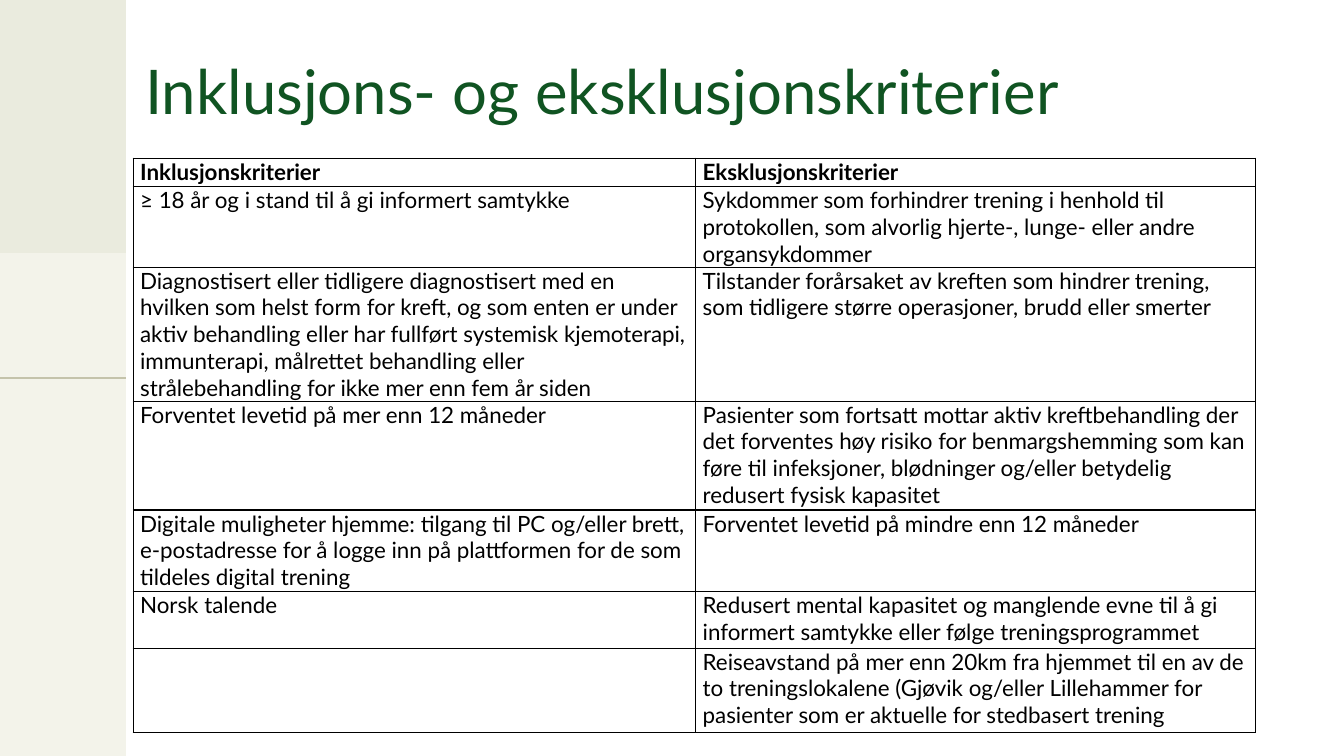
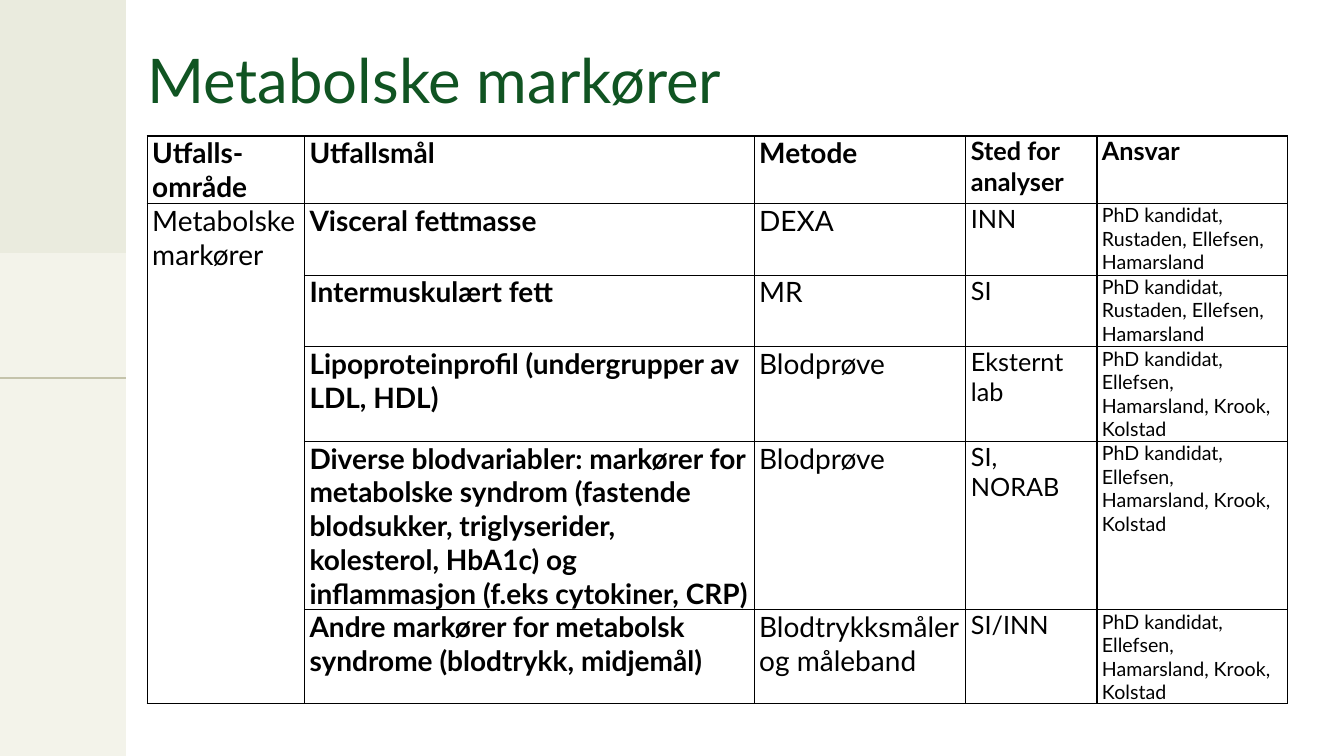
from lxml import etree
from pptx import Presentation
from pptx import util as u
from pptx.dml import color
from pptx.enum import shapes, text
from pptx.oxml import ns

FONT = "Lato"
BLACK = "000000"
TITLE_GREEN = "105422"
BAND_LIGHT = "F3F3EA"
BAND_DARK = "EAEBDE"
BAND_RULE = "C4C3AB"
BAND_WIDTH = 1.25
SLIDE_WIDTH, SLIDE_HEIGHT = 13.33, 7.5

CRITERIA = [
    ("Inklusjonskriterier", "Eksklusjonskriterier"),
    ("≥ 18 år og i stand til å gi informert samtykke",
     "Sykdommer som forhindrer trening i henhold til protokollen, som alvorlig "
     "hjerte-, lunge- eller andre organsykdommer"),
    ("Diagnostisert eller tidligere diagnostisert med en hvilken som helst form "
     "for kreft, og som enten er under aktiv behandling eller har fullført "
     "systemisk kjemoterapi, immunterapi, målrettet behandling eller "
     "strålebehandling for ikke mer enn fem år siden",
     "Tilstander forårsaket av kreften som hindrer trening, som tidligere større "
     "operasjoner, brudd eller smerter"),
    ("Forventet levetid på mer enn 12 måneder",
     "Pasienter som fortsatt mottar aktiv kreftbehandling der det forventes høy "
     "risiko for benmargshemming som kan føre til infeksjoner, blødninger "
     "og/eller betydelig redusert fysisk kapasitet"),
    ("Digitale muligheter hjemme: tilgang til PC og/eller brett, e-postadresse "
     "for å logge inn på plattformen for de som tildeles digital trening",
     "Forventet levetid på mindre enn 12 måneder"),
    ("Norsk talende",
     "Redusert mental kapasitet og manglende evne til å gi informert samtykke "
     "eller følge treningsprogrammet"),
    ("",
     "Reiseavstand på mer enn 20km fra hjemmet til en av de to treningslokalene "
     "(Gjøvik og/eller Lillehammer for pasienter som er aktuelle for stedbasert "
     "trening"),
]

TRAINING_TEAM = "PhD kandidat, Rustaden, Ellefsen, Hamarsland"
BLOOD_TEAM = "PhD kandidat, Ellefsen, Hamarsland, Krook, Kolstad"
MARKERS = [
    ("Utfalls-\nområde", "Utfallsmål", "Metode", "Sted for analyser", "Ansvar"),
    ("Metabolske markører", "Visceral fettmasse", "DEXA", "INN", TRAINING_TEAM),
    ("", "Intermuskulært fett", "MR", "SI", TRAINING_TEAM),
    ("", "Lipoproteinprofil (undergrupper av LDL, HDL)", "Blodprøve",
     "Eksternt lab", BLOOD_TEAM),
    ("", "Diverse blodvariabler: markører for metabolske syndrom (fastende "
     "blodsukker, triglyserider, kolesterol, HbA1c) og inflammasjon "
     "(f.eks cytokiner, CRP)", "Blodprøve", "SI, NORAB", BLOOD_TEAM),
    ("", "Andre markører for metabolsk syndrome (blodtrykk, midjemål)",
     "Blodtrykksmåler og måleband", "SI/INN", BLOOD_TEAM),
]


def rgb(value):
    """Turn a hex string into a colour."""
    return color.RGBColor.from_string(value)


def add_run(paragraph, wording, size, hex_color, bold=False):
    """Add one formatted run to a paragraph."""
    run = paragraph.add_run()
    run.text = wording
    run.font.name = FONT
    run.font.size = u.Pt(size)
    run.font.bold = bold
    run.font.color.rgb = rgb(hex_color)


def add_band(slide, height, fill):
    """Draw a plain block down from the top left corner."""
    band = slide.shapes.add_shape(shapes.MSO_SHAPE.RECTANGLE, 0, 0,
                                  u.Inches(BAND_WIDTH), u.Inches(height))
    band.shadow.inherit = False
    band.fill.solid()
    band.fill.fore_color.rgb = rgb(fill)
    band.line.fill.background()


def add_sidebar(slide):
    """Draw the two-tone side band and the rule across its middle."""
    add_band(slide, SLIDE_HEIGHT, BAND_LIGHT)
    add_band(slide, 2.51, BAND_DARK)
    middle = u.Inches(SLIDE_HEIGHT / 2)
    rule = slide.shapes.add_connector(shapes.MSO_CONNECTOR.STRAIGHT, 0, middle,
                                      u.Inches(BAND_WIDTH), middle)
    rule.line.color.rgb = rgb(BAND_RULE)
    rule.line.width = u.Pt(1)
    etree.SubElement(rule._element.spPr, ns.qn("a:effectLst"))


def add_title(slide, wording, left, top):
    """Write the slide title in its box."""
    box = slide.shapes.add_textbox(u.Inches(left), u.Inches(top),
                                   u.Inches(10.2), u.Inches(1.45))
    frame = box.text_frame
    frame.word_wrap = True
    frame.vertical_anchor = text.MSO_ANCHOR.MIDDLE
    frame.margin_left = frame.margin_right = 0
    frame.margin_top = frame.margin_bottom = 0
    paragraph = frame.paragraphs[0]
    paragraph.line_spacing = 0.8
    add_run(paragraph, wording, 44, TITLE_GREEN)


def add_borders(cell):
    """Give a cell a thin black line on all four sides."""
    properties = cell._tc.get_or_add_tcPr()
    for index, side in enumerate("LRTB"):
        line = etree.Element(ns.qn(f"a:ln{side}"), w=str(u.Pt(1)))
        fill = etree.SubElement(line, ns.qn("a:solidFill"))
        etree.SubElement(fill, ns.qn("a:srgbClr"), val=BLACK)
        properties.insert(index, line)


def fill_cell(cell, wording, size, bold, inset):
    """Set the look of a cell and write its lines."""
    cell.fill.background()
    cell.margin_left = cell.margin_right = u.Inches(inset)
    cell.margin_top = cell.margin_bottom = 0
    add_borders(cell)
    frame = cell.text_frame
    for index, line in enumerate(wording.split("\n")):
        paragraph = frame.add_paragraph() if index else frame.paragraphs[0]
        if line:
            add_run(paragraph, line, size, BLACK, bold)


def add_grid(slide, left, top, widths, heights, rows, style, inset):
    """Build a ruled table whose style function gives size and weight."""
    frame = slide.shapes.add_table(len(rows), len(widths), u.Inches(left), u.Inches(top),
                                   u.Inches(sum(widths)), u.Inches(sum(heights)))
    table = frame.table
    table.first_row = table.horz_banding = False
    for column, width in zip(table.columns, widths):
        column.width = u.Inches(width)
    for row, height in zip(table.rows, heights):
        row.height = u.Inches(height)
    for row_index, row in enumerate(rows):
        for column_index, wording in enumerate(row):
            size, bold = style(row_index, column_index)
            fill_cell(table.cell(row_index, column_index), wording, size, bold, inset)
    return table


def criteria_style(row, column):
    """Give size and weight of a criteria cell."""
    return 16, row == 0


def marker_style(row, column):
    """Give size and weight of a marker cell."""
    sizes = (20, 20, 20, 18, 14) if row else (20, 20, 20, 18, 18)
    return sizes[column], row == 0 or column == 1


def new_slide(presentation):
    """Add a blank slide with the side band."""
    slide = presentation.slides.add_slide(presentation.slide_layouts[6])
    add_sidebar(slide)
    return slide


def criteria_slide(presentation):
    """Build the slide with inclusion and exclusion criteria."""
    slide = new_slide(presentation)
    add_grid(slide, 1.32, 1.57, (5.58, 5.55),
             (0.28, 0.8, 1.33, 1.08, 0.81, 0.56, 0.84),
             CRITERIA, criteria_style, 0.07)
    add_title(slide, "Inklusjons- og eksklusjonskriterier", 1.44, 0.23)


def markers_slide(presentation):
    """Build the slide with metabolic markers."""
    slide = new_slide(presentation)
    add_title(slide, "Metabolske markører", 1.46, 0.13)
    table = add_grid(slide, 1.46, 1.35, (1.56, 4.46, 2.1, 1.3, 1.89),
                     (0.67, 0.71, 0.71, 0.94, 1.67, 0.93),
                     MARKERS, marker_style, 0.05)
    table.cell(1, 0).merge(table.cell(len(MARKERS) - 1, 0))


def main():
    """Create and save the presentation."""
    presentation = Presentation()
    presentation.slide_width = u.Inches(SLIDE_WIDTH)
    presentation.slide_height = u.Inches(SLIDE_HEIGHT)
    criteria_slide(presentation)
    markers_slide(presentation)
    presentation.save("out.pptx")


if __name__ == "__main__":
    main()
